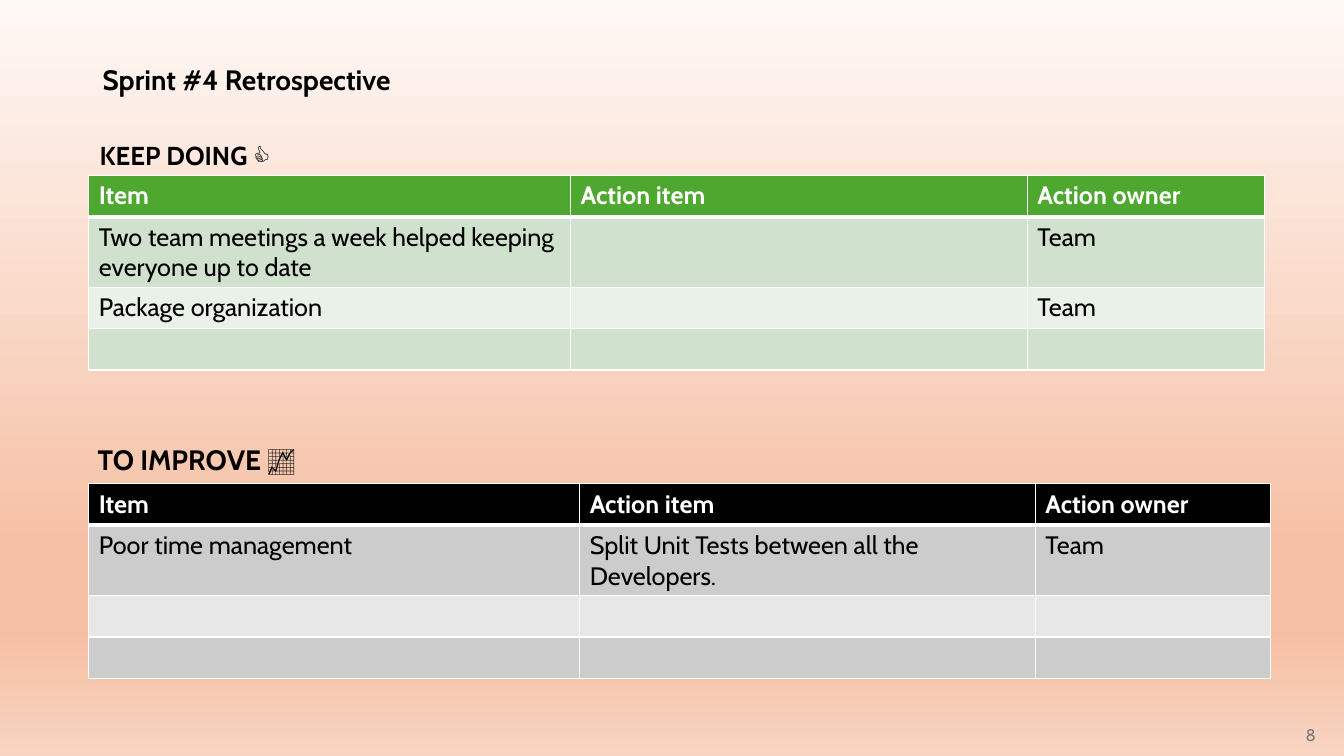
import copy
from dataclasses import dataclass

import pptx
import pptx.dml.color
import pptx.enum.text
import pptx.oxml
import pptx.oxml.ns
import pptx.util
from pptx.util import Inches

ANCHOR = pptx.enum.text.MSO_ANCHOR
ALIGN = pptx.enum.text.PP_ALIGN


@dataclass(frozen=True)
class Theme:
    font: str = "Cabin"
    ink: str = "000000"
    white: str = "FFFFFF"
    muted: str = "797979"
    keep: tuple = ("4EA72E", "D0E1CD", "E9F1E8")
    improve: tuple = ("000000", "CCCCCC", "E7E7E7")
    backdrop: tuple = ((0, "FEF8F5"), (74, "F5BFA3"), (83, "F5BFA3"), (100, "F8D4C2"))
    title_size: float = 20
    keep_size: float = 18.5
    table_size: float = 18
    number_size: float = 12
    thin: float = 1
    thick: float = 3


THEME = Theme()
HEADINGS = ("Item", "Action item", "Action owner")
KEEP_ROWS = (
    ("Two team meetings a week helped keeping everyone up to date", "", "Team"),
    ("Package organization", "", "Team"),
    ("", "", ""),
)
IMPROVE_ROWS = (
    ("Poor time management", "Split Unit Tests between all the Developers.", "Team"),
    ("", "", ""),
    ("", "", ""),
)


def rgb(value):
    return pptx.dml.color.RGBColor.from_string(value)


def style(para, size, color, bold=False):
    para.font.name = THEME.font
    para.font.size = pptx.util.Pt(size)
    para.font.bold = bold
    para.font.color.rgb = rgb(color)


def paint_background(page):
    fill = page.background.fill
    fill.gradient()
    fill.gradient_angle = 270
    stops = page.background._cSld.find(".//" + pptx.oxml.ns.qn("a:gsLst"))
    for _ in THEME.backdrop[2:]:
        stops.append(copy.deepcopy(stops[0]))
    for stop, (position, color) in zip(fill.gradient_stops, THEME.backdrop):
        stop.position = position / 100
        stop.color.rgb = rgb(color)


def add_text(page, area, text, size, color=THEME.ink, bold=True,
             anchor=ANCHOR.TOP, align=ALIGN.LEFT, spacing=1.0, before=0):
    box = page.shapes.add_textbox(*map(Inches, area))
    frame = box.text_frame
    frame.word_wrap = True
    frame.vertical_anchor = anchor
    para = frame.paragraphs[0]
    para.text = text
    para.alignment = align
    para.line_spacing = spacing
    para.space_before = pptx.util.Pt(before)
    style(para, size, color, bold)


def add_borders(cell, top, bottom):
    """Draw white cell edges; the widths are in points."""
    properties = cell._tc.get_or_add_tcPr()
    edges = (("L", THEME.thin), ("R", THEME.thin), ("T", top), ("B", bottom))
    for index, (side, width) in enumerate(edges):
        line = pptx.oxml.parse_xml(
            f'<a:ln{side} {pptx.oxml.ns.nsdecls("a")} w="{pptx.util.Pt(width)}">'
            f'<a:solidFill><a:srgbClr val="{THEME.white}"/></a:solidFill></a:ln{side}>')
        properties.insert(index, line)


def add_action_table(page, left, top, widths, rows, colors):
    """Place a table with a header over banded rows; colors are header, odd, even."""
    header, odd, even = colors
    row_height = 0.41
    lines = (HEADINGS,) + rows
    table = page.shapes.add_table(
        len(lines), len(widths), Inches(left), Inches(top),
        Inches(sum(widths)), Inches(row_height * len(lines))).table
    for column, width in zip(table.columns, widths):
        column.width = Inches(width)
    for number, texts in enumerate(lines):
        table.rows[number].height = Inches(row_height)
        is_header = number == 0
        fill = header if is_header else (odd if number % 2 else even)
        for cell, text in zip(table.rows[number].cells, texts):
            cell.fill.solid()
            cell.fill.fore_color.rgb = rgb(fill)
            add_borders(cell,
                        top=THEME.thick if number == 1 else THEME.thin,
                        bottom=THEME.thick if is_header else THEME.thin)
            para = cell.text_frame.paragraphs[0]
            if text:
                para.text = text
            style(para, THEME.table_size, THEME.white if is_header else THEME.ink, is_header)


def add_retrospective(deck):
    page = deck.slides.add_slide(deck.slide_layouts[6])
    paint_background(page)
    add_text(page, (0.92, 0.4, 11.5, 0.81), "Sprint #4 Retrospective",
             THEME.title_size, anchor=ANCHOR.MIDDLE, spacing=0.9)
    add_text(page, (10.15, 7.09, 3, 0.4), "8", THEME.number_size, THEME.muted,
             bold=False, anchor=ANCHOR.MIDDLE, align=ALIGN.RIGHT)
    add_text(page, (0.89, 1.21, 5.87, 0.56), "KEEP DOING 👍",
             THEME.keep_size, spacing=1.4, before=10)
    add_action_table(page, 0.88, 1.74, (4.78, 4.53, 2.35), KEEP_ROWS, THEME.keep)
    add_text(page, (0.87, 4.17, 10.1, 0.64), "TO IMPROVE 📈",
             THEME.title_size, spacing=1.5, before=10)
    add_action_table(page, 0.88, 4.8, (4.87, 4.52, 2.33), IMPROVE_ROWS, THEME.improve)


def main():
    deck = pptx.Presentation()
    deck.slide_width = Inches(13.33)
    deck.slide_height = Inches(7.5)
    add_retrospective(deck)
    deck.save("out.pptx")


if __name__ == "__main__":
    main()
